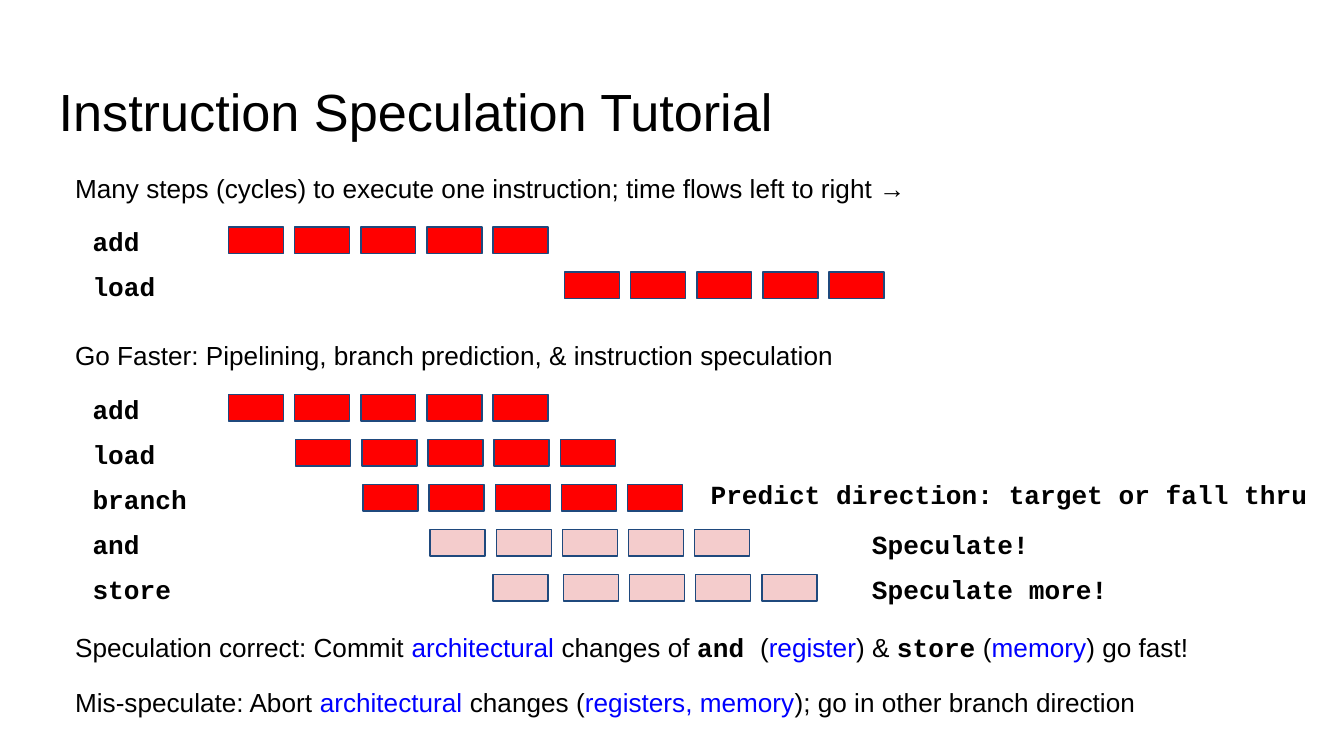
from dataclasses import dataclass

from pptx import Presentation
from pptx import util as u
from pptx.dml import color
from pptx.enum import shapes, text


@dataclass(frozen=True)
class Theme:
    black: str = "000000"
    blue: str = "0000FF"
    red: str = "FF0000"
    pink: str = "F4CCCC"
    edge: str = "1F497D"
    sans: str = "Arial"
    mono: str = "Courier New"
    title: float = 28
    body: float = 14
    line: float = 0.75


THEME = Theme()
LEFT = 1.17
PITCH = 0.85
STEPS = 5

SERIAL = [
    ("add", 0, THEME.red, 0),
    ("load", 5, THEME.red, 0),
]
PIPED = [
    ("add", 0, THEME.red, 0),
    ("load", 1, THEME.red, 0),
    ("branch", 2, THEME.red, 0),
    ("and", 3, THEME.pink, 0),
    ("store", 4, THEME.pink, -0.08),
]
NOTES = [
    ("Predict direction: target or fall thru", 13.18, 8.79, 11.91),
    ("Speculate!", 16.23, 9.73, 6.93),
    ("Speculate more!", 16.23, 10.58, 6.93),
]
RIGHT = [
    ("Speculation correct: Commit ", "plain"),
    ("architectural", "state"),
    (" changes of ", "plain"),
    ("and ", "code"),
    ("(", "plain"),
    ("register", "state"),
    (") & ", "plain"),
    ("store", "code"),
    (" (", "plain"),
    ("memory", "state"),
    (") go fast!", "plain"),
]
WRONG = [
    ("Mis-speculate: Abort ", "plain"),
    ("architectural", "state"),
    (" changes (", "plain"),
    ("registers, memory", "state"),
    ("); go in other branch direction", "plain"),
]


def rgb(code):
    return color.RGBColor.from_string(code)


def add_text(slide, parts, x, y, width, height=1.07, size=THEME.body):
    box = slide.shapes.add_textbox(u.Cm(x), u.Cm(y), u.Cm(width), u.Cm(height))
    frame = box.text_frame
    frame.word_wrap = True
    frame.vertical_anchor = text.MSO_ANCHOR.TOP
    frame.margin_left = frame.margin_right = u.Cm(0.25)
    frame.margin_top = frame.margin_bottom = u.Cm(0.25)
    for words, style in parts:
        run = frame.paragraphs[0].add_run()
        run.text = words
        font = run.font
        font.size = u.Pt(size)
        font.name = THEME.mono if style == "code" else THEME.sans
        font.bold = style == "code"
        font.color.rgb = rgb(THEME.blue if style == "state" else THEME.black)


def add_step(slide, x, y, fill):
    step = slide.shapes.add_shape(
        shapes.MSO_SHAPE.RECTANGLE, u.Cm(x), u.Cm(y), u.Cm(1.04), u.Cm(0.5))
    step.shadow.inherit = False
    step.fill.solid()
    step.fill.fore_color.rgb = rgb(fill)
    step.line.color.rgb = rgb(THEME.edge)
    step.line.width = u.Pt(THEME.line)


def add_rows(slide, rows, top):
    for row, (name, delay, fill, nudge) in enumerate(rows):
        y = top + row * PITCH
        width = 2.44 if len(name) > 5 else 2.26
        add_text(slide, [(name, "code")], 1.5, y - 0.28, width)
        start = 4.32 + delay * 1.27
        for i in range(STEPS):
            shift = nudge if i == 0 else 0
            add_step(slide, start + shift + i * 1.25, y, fill)


def main():
    deck = Presentation()
    deck.slide_width, deck.slide_height = u.Cm(25.4), u.Cm(14.29)
    slide = deck.slides.add_slide(deck.slide_layouts[6])
    add_text(slide, [("Instruction Speculation Tutorial", "plain")],
             0.86, 1.24, 23.67, 1.6, THEME.title)
    add_text(slide, [("Many steps (cycles) to execute one instruction; "
                      "time flows left to right →", "plain")],
             LEFT, 3, 16.66)
    add_rows(slide, SERIAL, 4.29)
    add_text(slide, [("Go Faster: Pipelining, branch prediction, "
                      "& instruction speculation", "plain")],
             LEFT, 6.17, 16.66)
    add_rows(slide, PIPED, 7.46)
    for words, x, y, width in NOTES:
        add_text(slide, [(words, "code")], x, y, width)
    add_text(slide, RIGHT, LEFT, 11.68, 21.87)
    add_text(slide, WRONG, LEFT, 12.73, 23.5)
    deck.save("out.pptx")


if __name__ == "__main__":
    main()
